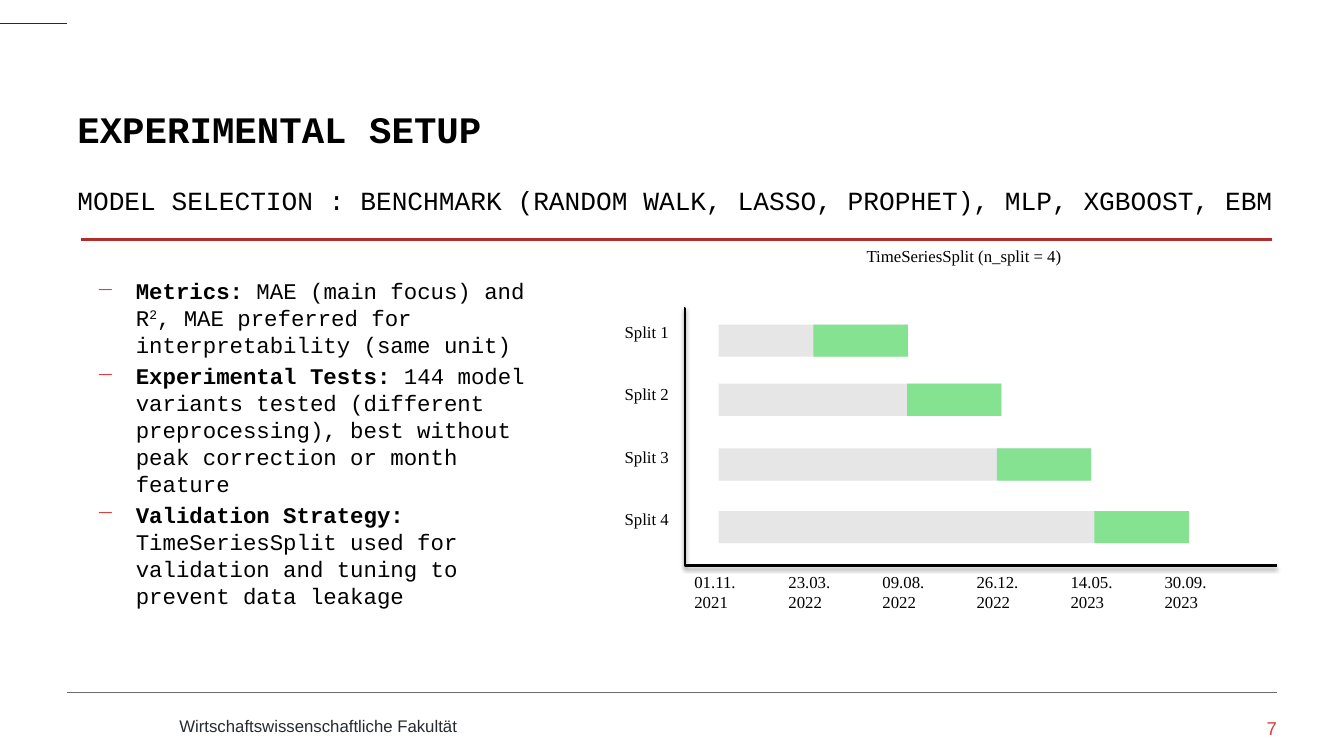
from lxml import etree
from pptx import Presentation
from pptx.dml.color import RGBColor
from pptx.enum import shapes, text
from pptx.oxml import ns
from pptx.util import Cm, Pt

MONO, SERIF, SANS = "Courier New", "Times New Roman", "Arial"
BLACK, DARK, RED, RULE = "000000", "262A31", "D8413E", "B02F2C"
FOOT_RULE, TRAIN, TEST, WHITE = "6B6B70", "E6E6E6", "84E291", "FFFFFF"

TITLE = "EXPERIMENTAL SETUP"
SUBTITLE = "MODEL SELECTION : BENCHMARK (RANDOM WALK, LASSO, PROPHET), MLP, XGBOOST, EBM"
# Each bullet is a list of (text, style) runs
BULLETS = [
    [("Metrics:", "bold"), (" MAE (main focus) and R", ""), ("2", "super"),
     (", MAE preferred for interpretability (same unit)", "")],
    [("Experimental Tests:", "bold"),
     (" 144 model variants tested (different preprocessing), best without"
      " peak correction or month feature", "")],
    [("Validation Strategy: ", "bold"),
     ("TimeSeriesSplit used for validation and tuning to prevent data leakage", "")],
]
CHART_TITLE = "TimeSeriesSplit (n_split = 4)"
# label, bar top, left edge of the test part (cm)
SPLITS = [("Split 1", 8.18, 20.5), ("Split 2", 9.67, 22.86),
          ("Split 3", 11.3, 25.12), ("Split 4", 12.88, 27.58)]
DATES = ["01.11.2021", "23.03.2022", "09.08.2022",
         "26.12.2022", "14.05.2023", "30.09.2023"]
FOOTER, PAGE = "Wirtschaftswissenschaftliche Fakultät", "7"

BAR_LEFT, BAR_H, TEST_W = 18.11, 0.81, 2.38
AXIS_LEFT, AXIS_TOP, AXIS_RIGHT, AXIS_BOTTOM = 17.25, 7.77, 32.18, 14.25
LABEL_W, DATE_STEP, SPLIT_STEP = 1.75, 2.37, 1.57

prs = Presentation()
prs.slide_width, prs.slide_height = Cm(33.87), Cm(19.05)
s = prs.slides.add_slide(prs.slide_layouts[6])


def rgb(color):
    return RGBColor.from_string(color)


def child(parent, tag, **attrs):
    return etree.SubElement(parent, ns.qn(tag), attrs)


def style(font, size, name, color, bold=False):
    font.size, font.name, font.bold = Pt(size), name, bold
    font.color.rgb = rgb(color)


def add_text(content, left, top, width, height, size=12, name=SERIF, color=BLACK,
             bold=False, anchor=text.MSO_ANCHOR.TOP, align=None, inset=None):
    tf = s.shapes.add_textbox(Cm(left), Cm(top), Cm(width), Cm(height)).text_frame
    tf.word_wrap, tf.vertical_anchor = True, anchor
    if inset is not None:
        tf.margin_left = tf.margin_right = tf.margin_top = tf.margin_bottom = Cm(inset)
    p = tf.paragraphs[0]
    p.alignment = align
    r = p.add_run()
    r.text = content
    style(r.font, size, name, color, bold)
    return tf


def add_box(kind, left, top, width, height, color):
    sp = s.shapes.add_shape(kind, Cm(left), Cm(top), Cm(width), Cm(height))
    sp.shadow.inherit = False
    sp.fill.solid()
    sp.fill.fore_color.rgb = rgb(color)
    sp.line.fill.background()
    return sp


def add_line(x1, y1, x2, y2, color, weight, kind=shapes.MSO_CONNECTOR.STRAIGHT):
    """Draw a connector and return it with its empty effect list."""
    line = s.shapes.add_connector(kind, Cm(x1), Cm(y1), Cm(x2), Cm(y2))
    line.line.color.rgb, line.line.width = rgb(color), Pt(weight)
    return line, child(line._element.spPr, "a:effectLst")


def add_axes():
    axes, effects = add_line(AXIS_LEFT, AXIS_TOP, AXIS_RIGHT, AXIS_BOTTOM, BLACK, 2,
                             shapes.MSO_CONNECTOR.ELBOW)
    guides = axes._element.spPr.find(ns.qn("a:prstGeom")).get_or_add_avLst()
    child(guides, "a:gd", name="adj1", fmla="val 100")
    shadow = child(effects, "a:outerShdw", blurRad=str(Pt(3.1)), dist=str(Pt(1.6)),
                   dir="5400000", rotWithShape="0")
    child(child(shadow, "a:srgbClr", val=BLACK), "a:alpha", val="38000")


def add_bullets():
    sp = add_box(shapes.MSO_SHAPE.ROUNDED_RECTANGLE, 2.03, 6.15, 12.6, 10.03, WHITE)
    sp.adjustments[0] = 0.053
    tf = sp.text_frame
    tf.word_wrap, tf.vertical_anchor = True, text.MSO_ANCHOR.MIDDLE
    for i, runs in enumerate(BULLETS):
        p = tf.add_paragraph() if i else tf.paragraphs[0]
        p.alignment = text.PP_ALIGN.LEFT
        p.space_before = Pt(3.2 if i else 0)
        pPr = p._p.get_or_add_pPr()
        pPr.set("marL", str(Cm(0.99)))
        pPr.set("indent", str(-Cm(0.99)))
        child(child(pPr, "a:buClr"), "a:srgbClr", val=RED)
        child(pPr, "a:buChar", char="−")
        for content, look in runs:
            r = p.add_run()
            r.text = content
            style(r.font, 16, MONO, BLACK, look == "bold")
            if look == "super":
                r.font._element.set("baseline", "30000")


add_line(0, 0.58, 1.7, 0.58, DARK, 0.25)
add_line(1.7, 17.45, 32.18, 17.45, FOOT_RULE, 0.25)
add_text(FOOTER, 4.27, 17.91, 12.65, 0.76, name=SANS, color=DARK)
add_text(PAGE, 29.44, 18.06, 2.74, 0.76, size=13.3, name=SANS, color=RED,
         align=text.PP_ALIGN.RIGHT, inset=0)

add_text(TITLE, 1.7, 1.12, 30.5, 2.82, size=26.7, name=MONO, bold=True,
         anchor=text.MSO_ANCHOR.BOTTOM)
subtitle = add_text(SUBTITLE, 1.7, 4.22, 30.8, 1.35, size=18.7, name=MONO,
                    anchor=text.MSO_ANCHOR.BOTTOM)
subtitle.margin_right = 0

add_text(CHART_TITLE, 21.59, 6.07, 5.51, 0.79)
add_axes()
for i, (label, top, test_left) in enumerate(SPLITS):
    add_text(label, 15.49, 7.98 + i * SPLIT_STEP, LABEL_W, 0.79)
    add_box(shapes.MSO_SHAPE.RECTANGLE, BAR_LEFT, top,
            test_left + TEST_W - BAR_LEFT, BAR_H, TRAIN)
    add_box(shapes.MSO_SHAPE.RECTANGLE, test_left, top, TEST_W, BAR_H, TEST)
for i, date in enumerate(DATES):
    add_text(date, AXIS_LEFT + i * DATE_STEP, 14.27, LABEL_W, 1.32)

add_bullets()
add_line(2.03, 6.03, 32.05, 6.03, RULE, 2)

prs.save("out.pptx")
